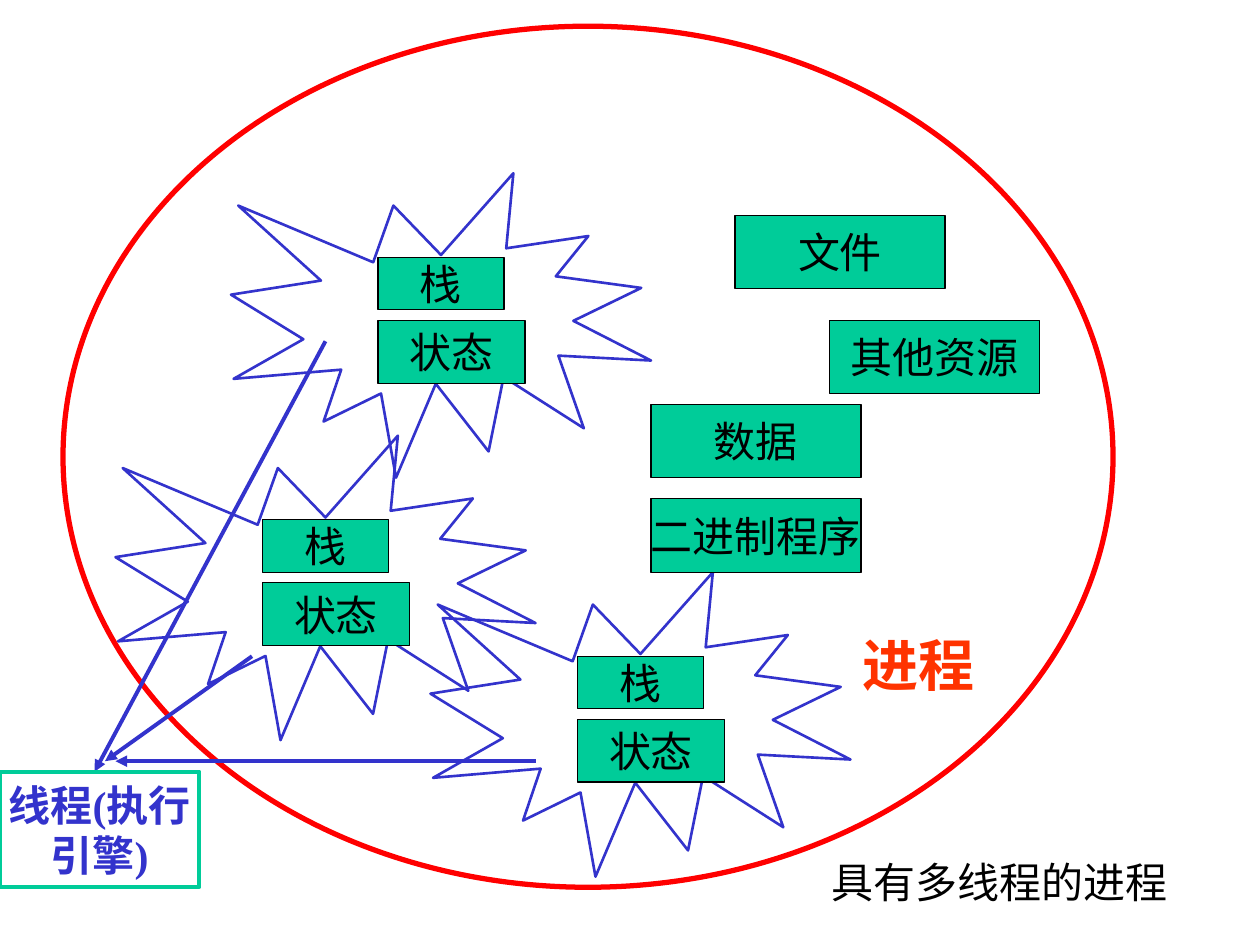
from dataclasses import dataclass

from lxml import etree
from pptx import Presentation
from pptx.dml.color import RGBColor
from pptx.enum.shapes import MSO_CONNECTOR, MSO_SHAPE
from pptx.enum.text import MSO_ANCHOR, MSO_AUTO_SIZE, PP_ALIGN
from pptx.oxml.ns import qn
from pptx.util import Pt

RECTANGLE = MSO_SHAPE.RECTANGLE
OVAL = MSO_SHAPE.OVAL
BURST = MSO_SHAPE.EXPLOSION1
STRAIGHT = MSO_CONNECTOR.STRAIGHT
TOP = MSO_ANCHOR.TOP
MIDDLE = MSO_ANCHOR.MIDDLE
LEFT = PP_ALIGN.LEFT
CENTER = PP_ALIGN.CENTER
NO_AUTOSIZE = MSO_AUTO_SIZE.NONE
TITLE_ONLY = 5


@dataclass(frozen=True)
class Theme:
    font: str = "Times New Roman"
    text: RGBColor = RGBColor(0x00, 0x00, 0x00)
    process: RGBColor = RGBColor(0xFF, 0x00, 0x00)
    process_label: RGBColor = RGBColor(0xFF, 0x33, 0x00)
    thread: RGBColor = RGBColor(0x33, 0x33, 0xCC)
    resource: RGBColor = RGBColor(0x00, 0xCC, 0x99)
    body_size: int = 24
    label_size: int = 32


THEME = Theme()


def write_text(shape, text, color, size=THEME.body_size, bold=False,
               align=CENTER, anchor=MIDDLE, wrap=False):
    text_frame = shape.text_frame
    text_frame.text = text
    text_frame.auto_size = NO_AUTOSIZE
    text_frame.word_wrap = wrap
    text_frame.vertical_anchor = anchor
    for paragraph in text_frame.paragraphs:
        paragraph.alignment = align
        for run in paragraph.runs:
            run.font.name = THEME.font
            run.font.size = Pt(size)
            run.font.bold = bold
            run.font.color.rgb = color


def add_outline(slide, kind, box, color, weight, fill=None):
    shape = slide.shapes.add_shape(kind, *map(Pt, box))
    shape.shadow.inherit = False
    if fill is None:
        shape.fill.background()
    else:
        shape.fill.solid()
        shape.fill.fore_color.rgb = fill
    shape.line.color.rgb = color
    shape.line.width = Pt(weight)
    return shape


def add_resource(slide, box, text):
    shape = add_outline(slide, RECTANGLE, box, THEME.text, 0.75, THEME.resource)
    write_text(shape, text, THEME.text)


def add_thread(slide, box):
    left, top, _, _ = box
    add_outline(slide, BURST, box, THEME.thread, 1.5)
    add_resource(slide, (left + 84, top + 48, 72, 30), "栈")
    add_resource(slide, (left + 84, top + 84, 84, 36), "状态")


def add_resources(slide, box):
    left, top, _, _ = box
    for x, y, text in ((48, 0, "文件"), (102, 60, "其他资源"),
                       (0, 108, "数据"), (0, 162, "二进制程序")):
        add_resource(slide, (left + x, top + y, 120, 42), text)


def add_arrow(slide, start, end):
    connector = slide.shapes.add_connector(STRAIGHT, *map(Pt, start + end))
    connector.line.color.rgb = THEME.thread
    connector.line.width = Pt(2.25)
    line = connector.line._get_or_add_ln()
    etree.SubElement(line, qn("a:tailEnd"), type="triangle")
    etree.SubElement(connector._element.spPr, qn("a:effectLst"))


def add_engine(slide, box):
    left, top, _, _ = box
    for start, x, y in (((186, 195), 54, 0), ((144, 375), 60, -6),
                        ((306, 435), 66, -6)):
        add_arrow(slide, start, (left + x, top + y))
    shape = add_outline(slide, RECTANGLE, box, THEME.resource, 2.25)
    write_text(shape, "线程(执行\n引擎)", THEME.thread, bold=True)


def add_process_label(slide, box):
    label = slide.shapes.add_textbox(*map(Pt, box))
    write_text(label, "进程", THEME.process_label, THEME.label_size, True,
               LEFT, TOP, True)


def place_title(slide, box):
    title = slide.shapes.title
    title.left, title.top, title.width, title.height = map(Pt, box)
    write_text(title, "具有多线程的进程", THEME.text, align=LEFT, anchor=TOP, wrap=True)


def main():
    presentation = Presentation()
    presentation.slide_width = Pt(720)
    presentation.slide_height = Pt(540)
    slide = presentation.slides.add_slide(presentation.slide_layouts[TITLE_ONLY])
    add_outline(slide, OVAL, (36, 15, 600, 492), THEME.process, 3)
    for left, top in ((132, 99), (66, 249), (246, 327)):
        add_thread(slide, (left, top, 240, 174))
    add_resources(slide, (372, 123, 222, 204))
    add_engine(slide, (0, 441, 114, 66))
    add_process_label(slide, (486, 357, 102, 46))
    place_title(slide, (468, 486, 240, 36))
    presentation.save("out.pptx")


if __name__ == "__main__":
    main()
